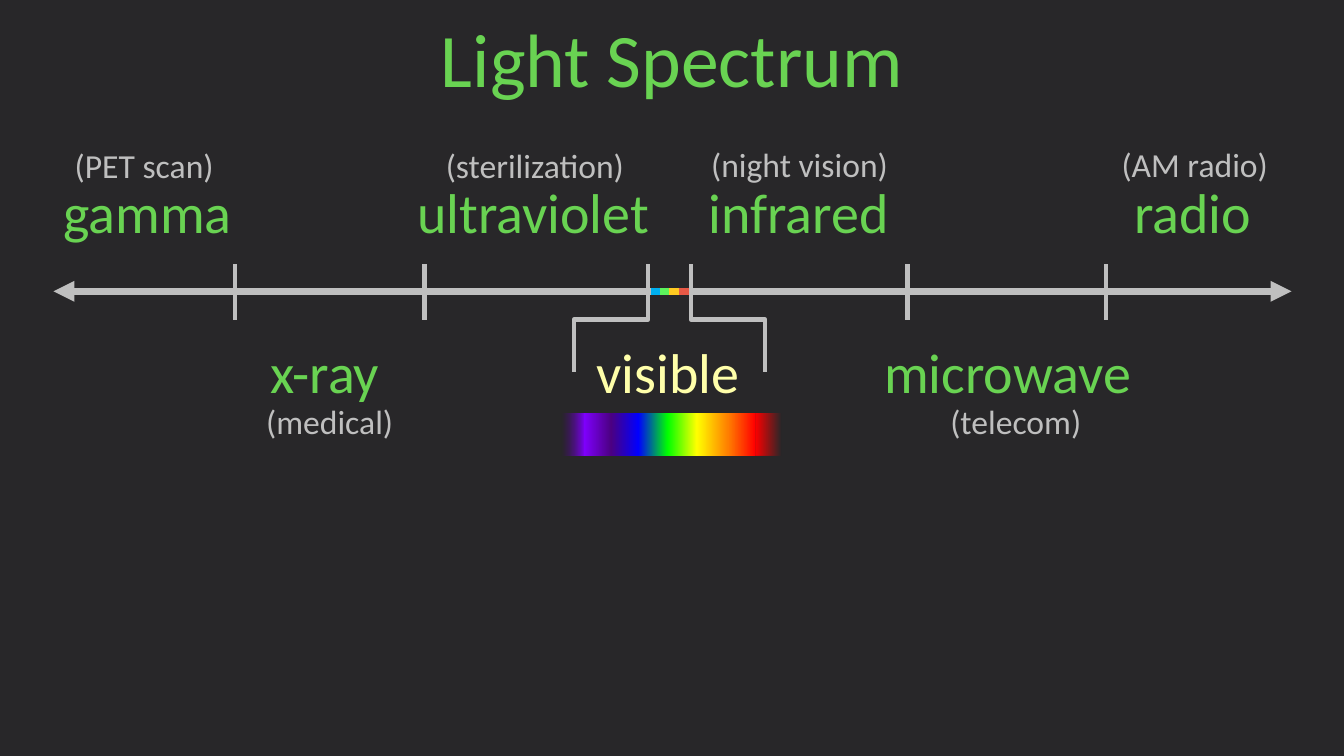
from lxml.etree import SubElement
from pptx import Presentation
from pptx.dml.color import RGBColor
from pptx.enum.shapes import MSO_CONNECTOR, MSO_SHAPE
from pptx.enum.text import MSO_AUTO_SIZE, PP_ALIGN
from pptx.oxml.ns import qn
from pptx.util import Inches, Pt

GREEN, GRAY, CREAM, DARK = "69D352", "BFBFBF", "FFFFAA", "282729"
AXIS_Y = 2.89
TICK_TOP, TICK_END = 2.62, 3.17
VIOLET, RED = 6.43, 6.85  # edges of visible light on the axis


def color(code):
    return RGBColor.from_string(code)


def add_text(slide, text, box, size, code, align=PP_ALIGN.CENTER):
    frame = slide.shapes.add_textbox(*map(Inches, box)).text_frame
    frame.word_wrap = True
    frame.auto_size = MSO_AUTO_SIZE.SHAPE_TO_FIT_TEXT
    para = frame.paragraphs[0]
    para.text = text
    para.alignment = align
    para.font.name = "Calibri"
    para.font.size = Pt(size)
    para.font.color.rgb = color(code)


def add_line(slide, start, end, code=GRAY, width=3, kind=MSO_CONNECTOR.STRAIGHT):
    link = slide.shapes.add_connector(kind, *map(Inches, start + end))
    link.line.color.rgb = color(code)
    link.line.width = Pt(width)
    SubElement(link._element.spPr, qn("a:effectLst"))
    return link


def add_arrows(link):
    line = link.line._get_or_add_ln()
    for tag in ("a:headEnd", "a:tailEnd"):
        SubElement(line, qn(tag), type="triangle")


def add_elbow(slide, x, side):
    """Drop a bracket from the axis at x; side is -1 for left, 1 for right."""
    drop, shift = 1.05, 0.74
    mid_x, mid_y = x + side * shift / 2, TICK_END
    start = (mid_x + side * drop / 2, mid_y - shift / 2)
    end = (mid_x - side * drop / 2, mid_y + shift / 2)
    link = add_line(slide, start, end, kind=MSO_CONNECTOR.ELBOW)
    turn = 270 if side > 0 else 90
    link._element.spPr.find(qn("a:xfrm")).set("rot", str(turn * 60000))


def add_band(slide, left, width, stops):
    """Draw a gradient strip; each stop is (percent, colour, opacity percent)."""
    band = slide.shapes.add_shape(
        MSO_SHAPE.RECTANGLE, *map(Inches, (left, 4.1, width, 0.42)))
    band.shadow.inherit = False
    band.line.fill.background()
    band.fill.gradient()
    band.fill.gradient_angle = 0
    items = band._element.spPr.find(qn("a:gradFill")).find(qn("a:gsLst"))
    for old in list(items):
        items.remove(old)
    for place, code, alpha in stops:
        stop = SubElement(items, qn("a:gs"), pos=str(place * 1000))
        tone = SubElement(stop, qn("a:srgbClr"), val=code)
        if alpha < 100:
            SubElement(tone, qn("a:alpha"), val=str(alpha * 1000))


def main():
    deck = Presentation()
    deck.slide_width, deck.slide_height = Inches(13.33), Inches(7.5)
    slide = deck.slides.add_slide(deck.slide_layouts[6])
    slide.background.fill.solid()
    slide.background.fill.fore_color.rgb = color(DARK)

    # Axis with ticks
    add_arrows(add_line(slide, (0.53, AXIS_Y), (12.81, AXIS_Y), width=5))
    for x in (2.33, 4.21, VIOLET, RED, 9, 10.97):
        add_line(slide, (x, TICK_TOP), (x, TICK_END))

    # Names of the bands
    names = [
        ("gamma", 0.53, 1.71, 2.31, GREEN),
        ("x-ray", 2.58, 3.3, 1.39, GREEN),
        ("ultraviolet", 4.04, 1.71, 2.53, GREEN),
        ("visible", 5.82, 3.3, 1.7, CREAM),
        ("infrared", 6.93, 1.71, 2.07, GREEN),
        ("microwave", 8.67, 3.3, 2.81, GREEN),
        ("radio", 11.15, 1.71, 1.39, GREEN),
    ]
    for text, left, top, width, code in names:
        add_text(slide, text, (left, top, width, 0.77), 40, code, PP_ALIGN.LEFT)

    # Brackets and spectrum under the visible range
    add_elbow(slide, VIOLET, -1)
    add_elbow(slide, RED, 1)
    hues = [(0, "8000FF"), (16, "4B0082"), (32, "0000FF"), (49, "00FF00"),
            (66, "FFFF00"), (84, "FF8000"), (100, "FF0000")]
    add_band(slide, 5.79, 1.7, [(place, code, 100) for place, code in hues])
    add_band(slide, 7.49, 0.59, [(0, "FF0000", 100), (44, "FF0000", 0)])
    add_band(slide, 5.57, 0.23, [(0, "4B0082", 0), (100, "8000FF", 100)])

    # Uses of the bands
    uses = [
        ("(PET scan)", 0.53, 1.39, 1.8),
        ("(medical)", 2.37, 3.93, 1.8),
        ("(sterilization)", 4.31, 1.39, 1.99),
        ("(night vision)", 6.92, 1.38, 2.02),
        ("(telecom)", 8.76, 3.93, 2.63),
        ("(AM radio)", 11.01, 1.38, 1.68),
    ]
    for text, left, top, width in uses:
        add_text(slide, text, (left, top, width, 0.5), 24, GRAY)

    # Title
    add_text(slide, "Light Spectrum", (2.45, 0.07, 8.43, 1.01), 54, GREEN)

    # Coloured dashes on the axis
    for i, code in enumerate(("00B0F0", "5CF35C", "FFCA21", "E85946")):
        x = 6.46 + 0.09 * i
        add_line(slide, (x, AXIS_Y), (x + 0.1, AXIS_Y), code, 5)

    deck.save("out.pptx")


if __name__ == "__main__":
    main()
